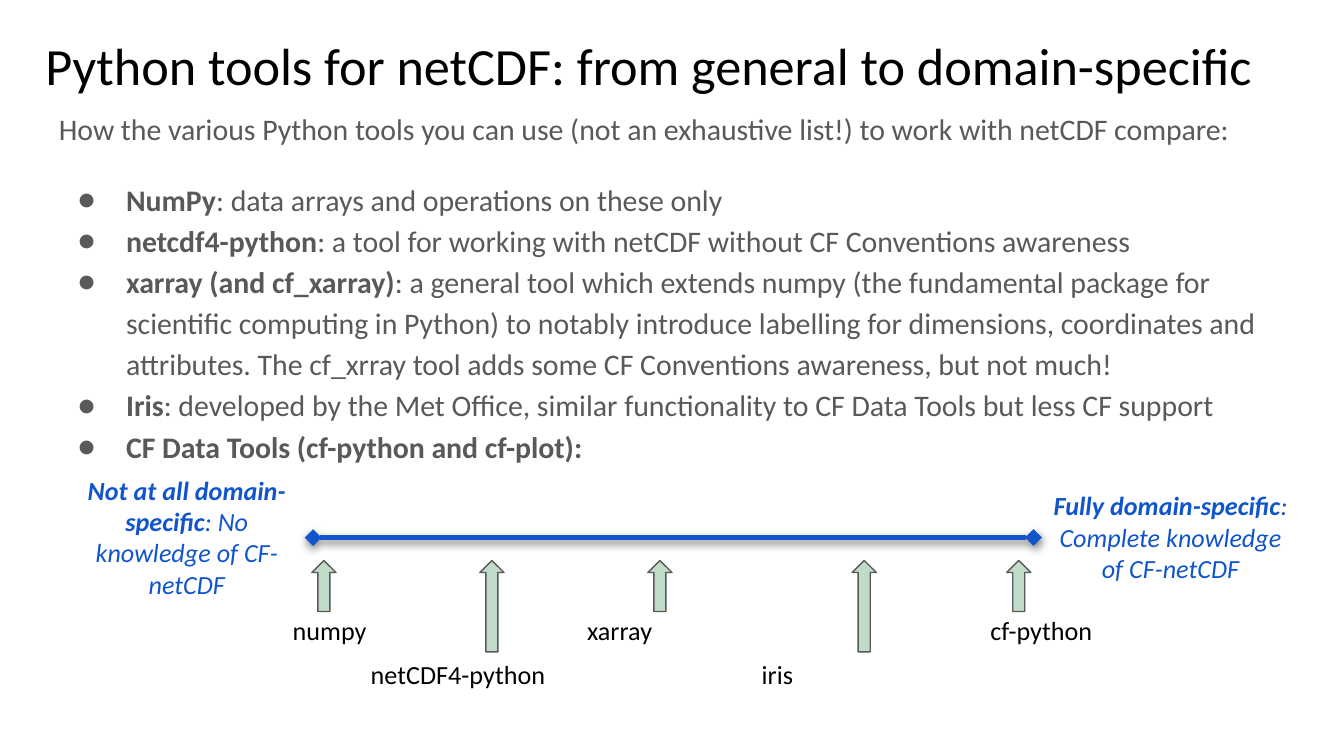
import pptx
import pptx.util
import pptx.dml.color
import pptx.enum.shapes
import pptx.enum.text
import pptx.oxml
import pptx.oxml.ns

SCALE = 9144  # EMU in one px, 100 px to the inch
FONT = "Calibri"
BLACK, GREY, BLUE, GREEN = "000000", "595959", "1155CC", "C1DBC9"

INTRO = ("How the various Python tools you can use (not an exhaustive list!) "
         "to work with netCDF compare:")
TOOLS = [
    ("NumPy", ": data arrays and operations on these only"),
    ("netcdf4-python", ": a tool for working with netCDF without CF Conventions awareness"),
    ("xarray (and cf_xarray)",
     ": a general tool which extends numpy (the fundamental package for scientific "
     "computing in Python) to notably introduce labelling for dimensions, coordinates "
     "and attributes. The cf_xrray tool adds some CF Conventions awareness, but not much!"),
    ("Iris", ": developed by the Met Office, similar functionality to CF Data Tools "
             "but less CF support"),
    ("CF Data Tools (cf-python and cf-plot):", ""),
]
AXIS_LEFT, AXIS_RIGHT, AXIS_Y = 233, 769, 400
AXIS_ENDS = [
    (45, 188, "Not at all domain-specific", ": No knowledge of CF-netCDF"),
    (AXIS_RIGHT, 204, "Fully domain-specific", ": Complete knowledge of CF-netCDF"),
]
ARROW_TOP, ARROW_WIDTH = 417, 18
SHORT, LONG = 38, 68
ARROWS = [(232, SHORT), (357, LONG), (482, SHORT), (634, LONG), (749, SHORT)]
# left, top, text, tab stops
LABEL_ROWS = [
    (208, 447, "numpy\txarray\tcf-python", [219, 519]),
    (191, 480, "\tnetCDF4-python\tiris", [75, 366]),
]


def px(n):
    return pptx.util.Emu(n * SCALE)


def rgb(hex_colour):
    return pptx.dml.color.RGBColor.from_string(hex_colour)


def add_xml(parent, xml):
    """Append elements written with the a: prefix."""
    ns = pptx.oxml.ns.nsdecls("a")
    for child in list(pptx.oxml.parse_xml(f"<a:wrap {ns}>{xml}</a:wrap>")):
        parent.append(child)


class Deck:
    """Holds the style and the current slide."""

    def __init__(self, width):
        self.prs = pptx.Presentation()
        self.prs.slide_width = px(width)
        self.prs.slide_height = px(width) * 9 // 16
        self.s = self.prs.slides.add_slide(self.prs.slide_layouts[6])

    def box(self, left, top, width, height, middle=False):
        sp = self.s.shapes.add_textbox(px(left), px(top), px(width), px(height))
        tf = sp.text_frame
        tf.word_wrap = True
        tf.margin_left = tf.margin_right = tf.margin_top = tf.margin_bottom = px(10)
        if middle:
            tf.vertical_anchor = pptx.enum.text.MSO_ANCHOR.MIDDLE
        return tf

    def run(self, p, text, size, colour, bold=False, italic=False):
        r = p.add_run()
        r.text = text
        r.font.name, r.font.size = FONT, pptx.util.Pt(size)
        r.font.color.rgb = rgb(colour)
        r.font.bold, r.font.italic = bold, italic

    def title(self, text):
        tf = self.box(24, 15, 966, 63)
        self.run(tf.paragraphs[0], text, 28, BLACK)

    def body(self, intro, items):
        tf = self.box(34, 68, 956, 169)
        p = tf.paragraphs[0]
        p.line_spacing = 1.15
        self.run(p, intro, 16, GREY)
        for i, (name, description) in enumerate(items):
            p = tf.add_paragraph()
            p.line_spacing = 1.15
            p.space_before = pptx.util.Pt(0 if i else 16)
            self.bullet(p)
            self.run(p, name, 16, GREY, bold=True)
            if description:
                self.run(p, description, 16, GREY)

    def bullet(self, p):
        pPr = p._p.get_or_add_pPr()
        pPr.set("marL", str(px(50)))
        pPr.set("indent", str(px(-36)))
        add_xml(pPr, f'<a:buClr><a:srgbClr val="{GREY}"/></a:buClr>'
                     f'<a:buFont typeface="{FONT}"/><a:buChar char="●"/>')

    def axis(self, left, right, y):
        """Line with diamond ends and a soft shadow below."""
        line = self.s.shapes.add_connector(
            pptx.enum.shapes.MSO_CONNECTOR.STRAIGHT, px(left), px(y), px(right), px(y))
        line.line.color.rgb = rgb(BLUE)
        line.line.width = pptx.util.Pt(3)
        add_xml(line.line._get_or_add_ln(),
                '<a:headEnd type="diamond"/><a:tailEnd type="diamond"/>')
        blur, dist = pptx.util.Pt(4.5), pptx.util.Pt(1.5)
        add_xml(line._element.spPr,
                f'<a:effectLst><a:outerShdw blurRad="{blur}" dist="{dist}" dir="5400000" '
                f'algn="bl" rotWithShape="0"><a:srgbClr val="{BLACK}">'
                '<a:alpha val="50000"/></a:srgbClr></a:outerShdw></a:effectLst>')

    def axis_end(self, left, width, name, meaning):
        p = self.box(left, 358, width, 83, middle=True).paragraphs[0]
        p.alignment = pptx.enum.text.PP_ALIGN.CENTER
        self.run(p, name, 14, BLUE, bold=True, italic=True)
        self.run(p, meaning, 14, BLUE, italic=True)

    def label_row(self, left, top, text, stops):
        p = self.box(left, top, 624, 32).paragraphs[0]
        tabs = "".join(f'<a:tab pos="{px(x)}" algn="l"/>' for x in stops)
        add_xml(p._p.get_or_add_pPr(), f"<a:tabLst>{tabs}</a:tabLst>")
        self.run(p, text, 14, BLACK)

    def up_arrow(self, left, height):
        sp = self.s.shapes.add_shape(
            pptx.enum.shapes.MSO_SHAPE.UP_ARROW,
            px(left), px(ARROW_TOP), px(ARROW_WIDTH), px(height))
        sp.shadow.inherit = False
        sp.fill.solid()
        sp.fill.fore_color.rgb = rgb(GREEN)
        sp.line.color.rgb = rgb(GREY)
        sp.line.width = pptx.util.Pt(0.75)


def main():
    deck = Deck(1000)
    deck.title("Python tools for netCDF: from general to domain-specific")
    deck.body(INTRO, TOOLS)
    deck.axis(AXIS_LEFT, AXIS_RIGHT, AXIS_Y)
    for end in AXIS_ENDS:
        deck.axis_end(*end)
    for row in LABEL_ROWS:
        deck.label_row(*row)
    for arrow in ARROWS:
        deck.up_arrow(*arrow)
    deck.prs.save("out.pptx")


if __name__ == "__main__":
    main()
